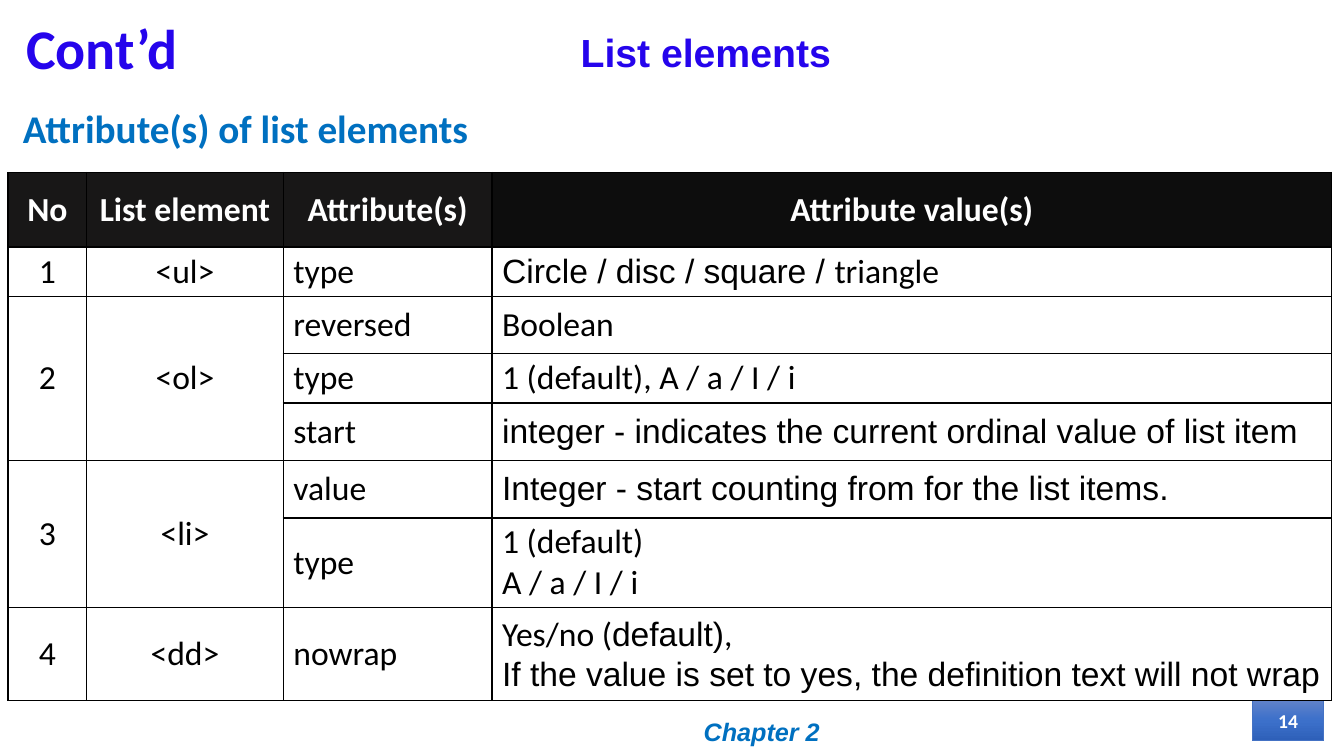
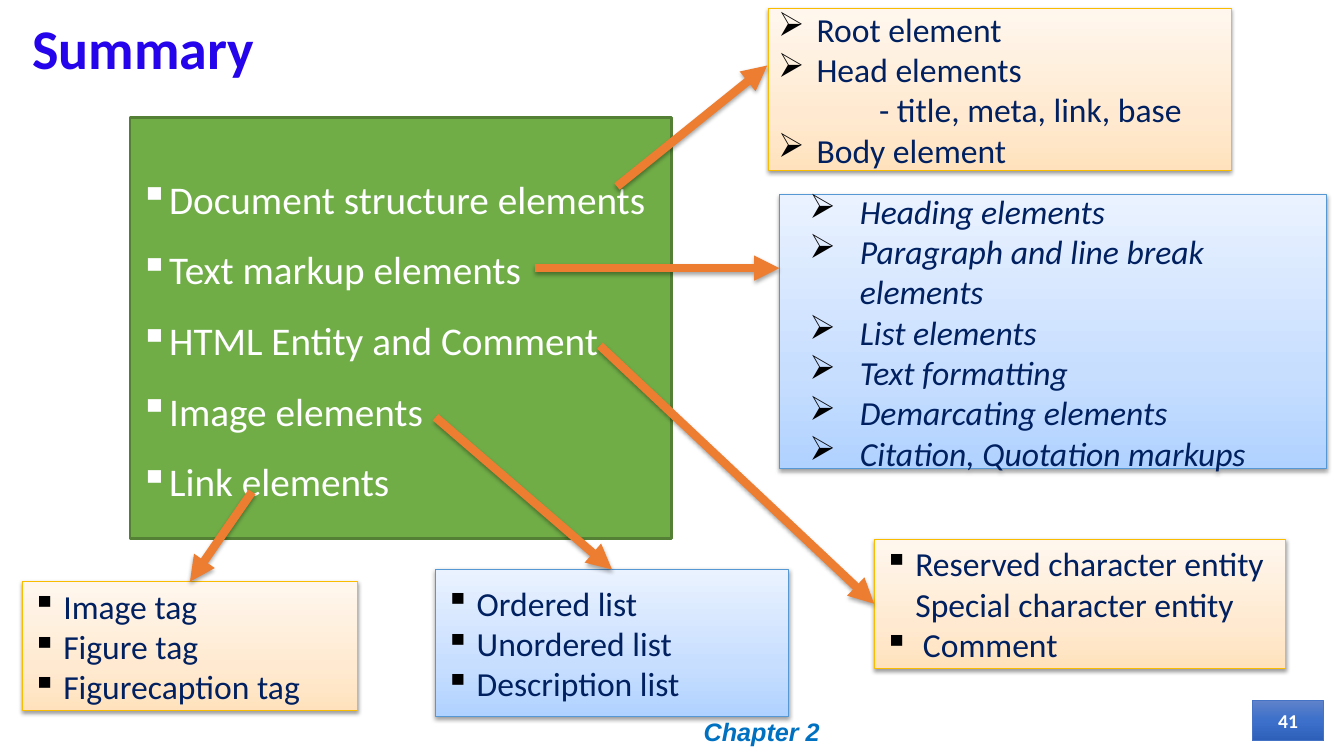
from lxml import etree
from pptx import Presentation
from pptx.dml.color import RGBColor
from pptx.enum.shapes import MSO_CONNECTOR, MSO_SHAPE
from pptx.enum.text import MSO_ANCHOR, MSO_AUTO_SIZE, PP_ALIGN
from pptx.oxml.ns import qn
from pptx.util import Inches, Pt

LEFT, CENTER, JUSTIFY = PP_ALIGN.LEFT, PP_ALIGN.CENTER, PP_ALIGN.JUSTIFY
MIDDLE, TOP = MSO_ANCHOR.MIDDLE, MSO_ANCHOR.TOP
RECTANGLE, STRAIGHT = MSO_SHAPE.RECTANGLE, MSO_CONNECTOR.STRAIGHT

COLORS = {
    "title": "2504EC", "accent": "0070C0", "navy": "002060", "white": "FFFFFF",
    "black": "000000", "header": "181717", "header_last": "0D0D0D",
    "badge_line": "4472C4", "green": "70AD47", "green_line": "538035",
    "blue_line": "5698D3", "orange_line": "F9BC00", "arrow": "ED7D31",
}
# Stops are (percent, colour); angles run counter-clockwise
GRADIENTS = {
    "badge": (270, [(0, "5F82CA"), (50, "3C70CA"), (100, "2E60B9")]),
    "blue": (90, [(0, "B0D2FF"), (35, "C7DEFF"), (100, "EAF2FF")]),
    "orange": (90, [(0, "FFE2BD"), (35, "FFEAD1"), (100, "FFF7EE")]),
}
FORMATS = {
    "title": {"size": 40, "bold": True, "color": "title"},
    "subtitle": {"size": 28, "bold": True, "color": "accent"},
    "topic": {"size": 28, "bold": True, "color": "title", "name": "Arial"},
    "footer": {"size": 18, "bold": True, "italic": True, "color": "accent", "name": "Arial"},
    "badge": {"size": 14, "bold": True, "color": "white"},
    "header": {"size": 24, "bold": True, "color": "white"},
    "cell": {"size": 24, "color": "black"},
    "outline": {"size": 28, "color": "white"},
    "detail": {"size": 24, "color": "navy"},
    "detail_italic": {"size": 24, "color": "navy", "italic": True},
}

# A paragraph is a string, or a list of (text, font) runs
TABLE_AT = (0.08, 1.71)
COLUMN_WIDTHS = [0.78, 1.95, 2.07, 8.33]
ROW_HEIGHTS = [0.74, 0.49, 0.57, 0.49, 0.57, 0.57, 0.89, 0.92]
HEADERS = ["No", "List element", "Attribute(s)", "Attribute value(s)"]
LIST_ELEMENTS = [
    ("<ul>", [
        ("type", [[("Circle / disc / square / ", "Arial"), ("triangle", "Calibri")]]),
    ]),
    ("<ol>", [
        ("reversed", ["Boolean"]),
        ("type", ["1 (default), A / a / I / i"]),
        ("start", [[("integer - indicates the current ordinal value of list item", "Arial")]]),
    ]),
    ("<li>", [
        ("value", [[("Integer - start counting from for the list items.", "Arial")]]),
        ("type", ["1 (default)", "A / a / I / i"]),
    ]),
    ("<dd>", [
        ("nowrap", [
            [("Yes/no (", "Calibri"), ("default)", "Arial"), (",", "Calibri")],
            [("If the value is set to yes, the definition text will not wrap", "Arial")],
        ]),
    ]),
]

OUTLINE = ["Document structure elements", "Text markup elements",
           "HTML Entity and Comment", "Image elements", "Link elements"]
OUTLINE_BOX = (1.29, 1.17, 5.37, 4.17)
# Bullet is (character, text indent, hanging)
DETAILS = {
    "markup": {
        "box": (7.73, 1.93, 5.43, 2.72), "tint": "blue", "fmt": "detail_italic",
        "bullet": ("➢", 0.7, 0.5),
        "items": ["Heading elements", "Paragraph and line break elements", "List elements",
                  "Text formatting", "Demarcating elements", "Citation, Quotation markups"],
    },
    "image": {
        "box": (0.22, 5.77, 3.33, 1.28), "tint": "orange", "fmt": "detail",
        "bullet": ("▪", 0.31, 0.31),
        "items": ["Image tag", "Figure tag", "Figurecaption tag"],
    },
    "list": {
        "box": (4.32, 5.65, 3.5, 1.46), "tint": "blue", "fmt": "detail",
        "bullet": ("▪", 0.31, 0.31),
        "items": ["Ordered list", "Unordered list", "Description list"],
    },
    "structure": {
        "box": (7.62, 0.08, 4.59, 1.61), "tint": "orange", "fmt": "detail",
        "bullet": ("➢", 0.38, 0.38),
        "items": ["Root element", "Head elements", "- title, meta, link, base", "Body element"],
    },
    "entity": {
        "box": (8.67, 5.35, 4.08, 1.28), "tint": "orange", "fmt": "detail",
        "bullet": ("▪", 0.31, 0.31),
        "items": ["Reserved character entity Special character entity", " Comment"],
    },
}
# Start, end, and the detail box with its side where the arrow joins one
ARROWS = [
    ((6.12, 1.85), (7.61, 0.65), None),
    ((5.31, 2.66), (7.73, 2.66), None),
    ((5.95, 3.43), (8.67, 5.99), ("entity", 1)),
    ((4.32, 4.14), (6.07, 5.65), ("list", 0)),
    ((2.5, 4.88), (1.88, 5.77), ("image", 0)),
]


def rgb(name):
    return RGBColor.from_string(COLORS[name])


def inches(values):
    return [Inches(value) for value in values]


def sub(parent, tag, **attributes):
    child = etree.SubElement(parent, qn(tag))
    for key, value in attributes.items():
        child.set(key, str(value))
    return child


def write(frame, paragraphs, fmt, align=LEFT, anchor=MIDDLE, bullet=None, spacing=None):
    frame.word_wrap = True
    frame.vertical_anchor = anchor
    for i, content in enumerate(paragraphs):
        paragraph = frame.paragraphs[0] if i == 0 else frame.add_paragraph()
        paragraph.alignment = align
        if bullet:
            indent(paragraph, content, bullet, FORMATS[fmt]["color"])
        if spacing:
            paragraph.line_spacing = spacing
        runs = [(content, "Calibri")] if isinstance(content, str) else content
        for text, font_name in runs:
            run = paragraph.add_run()
            run.text = text
            values = {"name": font_name, **FORMATS[fmt]}
            run.font.color.rgb = rgb(values.pop("color"))
            values["size"] = Pt(values["size"])
            for key, value in values.items():
                setattr(run.font, key, value)


def indent(paragraph, text, bullet, color):
    """Hang a bullet, or set a dashed sub-item one inch in."""
    character, margin, hanging = bullet
    properties = paragraph._p.get_or_add_pPr()
    if text.startswith("- "):
        properties.set("marL", str(Inches(1)))
        return
    properties.set("marL", str(Inches(margin)))
    properties.set("indent", str(-Inches(hanging)))
    bullet_color = "white" if color == "white" else "black"
    sub(sub(properties, "a:buClr"), "a:srgbClr", val=COLORS[bullet_color])
    sub(properties, "a:buChar", char=character)


def add_text(slide, box, text, fmt, **options):
    write(slide.shapes.add_textbox(*inches(box)).text_frame, [text], fmt, **options)


def add_box(slide, box, line, width, fill=None, tint=None):
    shape = slide.shapes.add_shape(RECTANGLE, *inches(box))
    shape.shadow.inherit = False
    shape.line.color.rgb = rgb(line)
    shape.line.width = Pt(width)
    if fill:
        shape.fill.solid()
        shape.fill.fore_color.rgb = rgb(fill)
    else:
        angle, stops = GRADIENTS[tint]
        shape.fill.gradient()
        shape.fill.gradient_angle = angle
        stop_list = shape._element.spPr.find(qn("a:gradFill")).find(qn("a:gsLst"))
        for old_stop in list(stop_list):
            stop_list.remove(old_stop)
        for percent, color in stops:
            sub(sub(stop_list, "a:gs", pos=percent * 1000), "a:srgbClr", val=color)
    return shape


def cast_shadow(shape, opacity, distance):
    properties = shape._element.spPr
    effects = properties.find(qn("a:effectLst"))
    if effects is None:
        effects = sub(properties, "a:effectLst")
    shadow = sub(effects, "a:outerShdw", blurRad=Pt(3.1), dist=Pt(distance),
                 dir=5400000, rotWithShape=0)
    sub(sub(shadow, "a:srgbClr", val=COLORS["black"]), "a:alpha", val=opacity * 1000)


def add_slide(deck, title, left, width, number):
    """Add a slide with the shared title, chapter footer and number badge."""
    slide = deck.slides.add_slide(deck.slide_layouts[5])
    heading = slide.shapes.title
    heading.left, heading.top, heading.width, heading.height = inches((left, 0.17, width, 0.68))
    heading.text_frame.auto_size = MSO_AUTO_SIZE.NONE
    write(heading.text_frame, [title], "title", spacing=0.9)
    add_text(slide, (5.89, 7.06, 3.33, 0.4), "Chapter 2", "footer", align=CENTER)
    badge = add_box(slide, (12.42, 6.95, 0.71, 0.4), "badge_line", 0.75, tint="badge")
    write(badge.text_frame, [number], "badge", align=CENTER)
    return slide


def fill_cell(cell, paragraphs, fmt="cell", align=LEFT, fill=None):
    write(cell.text_frame, paragraphs, fmt, align)
    cell.vertical_anchor = MIDDLE
    cell.margin_top = cell.margin_bottom = Inches(0.04)
    if fill:
        cell.fill.solid()
        cell.fill.fore_color.rgb = rgb(fill)


def add_attribute_table(slide):
    size = (sum(COLUMN_WIDTHS), sum(ROW_HEIGHTS))
    table = slide.shapes.add_table(len(ROW_HEIGHTS), len(COLUMN_WIDTHS),
                                   *inches(TABLE_AT + size)).table
    table.first_row = table.horz_banding = False
    for column, width in zip(table.columns, COLUMN_WIDTHS):
        column.width = Inches(width)
    for row, height in zip(table.rows, ROW_HEIGHTS):
        row.height = Inches(height)
    for cell in table.iter_cells():
        properties = cell._tc.get_or_add_tcPr()
        for side in ("a:lnL", "a:lnR", "a:lnT", "a:lnB"):
            border = sub(properties, side, w=Pt(1))
            sub(sub(border, "a:solidFill"), "a:srgbClr", val=COLORS["black"])
        cell.fill.background()

    for c, header in enumerate(HEADERS):
        fill = "header_last" if c == len(HEADERS) - 1 else "header"
        fill_cell(table.cell(0, c), [header], "header", CENTER, fill)
    r = 1
    for number, (element, attributes) in enumerate(LIST_ELEMENTS, start=1):
        for c, label in enumerate((str(number), element)):
            if len(attributes) > 1:
                table.cell(r, c).merge(table.cell(r + len(attributes) - 1, c))
            fill_cell(table.cell(r, c), [label], align=CENTER)
        for attribute, values in attributes:
            fill_cell(table.cell(r, 2), [attribute])
            fill_cell(table.cell(r, 3), values)
            r += 1


def add_arrow(slide, start, end, target, boxes):
    arrow = slide.shapes.add_connector(STRAIGHT, *inches(start + end))
    if target:
        name, side = target
        arrow.end_connect(boxes[name], side)
    arrow.line.color.rgb = rgb("arrow")
    arrow.line.width = Pt(6)
    sub(arrow.line._get_or_add_ln(), "a:tailEnd", type="triangle")
    cast_shadow(arrow, 35, 1.8)


def build_attributes(deck):
    slide = add_slide(deck, "Cont’d", 0.16, 11.72, "14")
    add_text(slide, (0.13, 0.99, 13, 0.73), "Attribute(s) of list elements", "subtitle",
             align=JUSTIFY, anchor=TOP)
    add_text(slide, (3.65, 0.23, 6.7, 0.57), "List elements", "topic",
             align=CENTER, anchor=TOP)
    add_attribute_table(slide)


def build_summary(deck):
    slide = add_slide(deck, "Summary", 0.22, 4.72, "41")
    outline = add_box(slide, OUTLINE_BOX, "green_line", 2, fill="green")
    write(outline.text_frame, OUTLINE, "outline", bullet=("▪", 0.25, 0.25), spacing=1.5)
    boxes = {}
    for name, detail in DETAILS.items():
        tint = detail["tint"]
        boxes[name] = add_box(slide, detail["box"], f"{tint}_line", 0.75, tint=tint)
        cast_shadow(boxes[name], 38, 1.6)
        write(boxes[name].text_frame, detail["items"], detail["fmt"], bullet=detail["bullet"])
    for start, end, target in ARROWS:
        add_arrow(slide, start, end, target, boxes)


def main():
    deck = Presentation()
    deck.slide_width, deck.slide_height = Inches(13.33), Inches(7.5)
    build_attributes(deck)
    build_summary(deck)
    deck.save("out.pptx")


if __name__ == "__main__":
    main()
